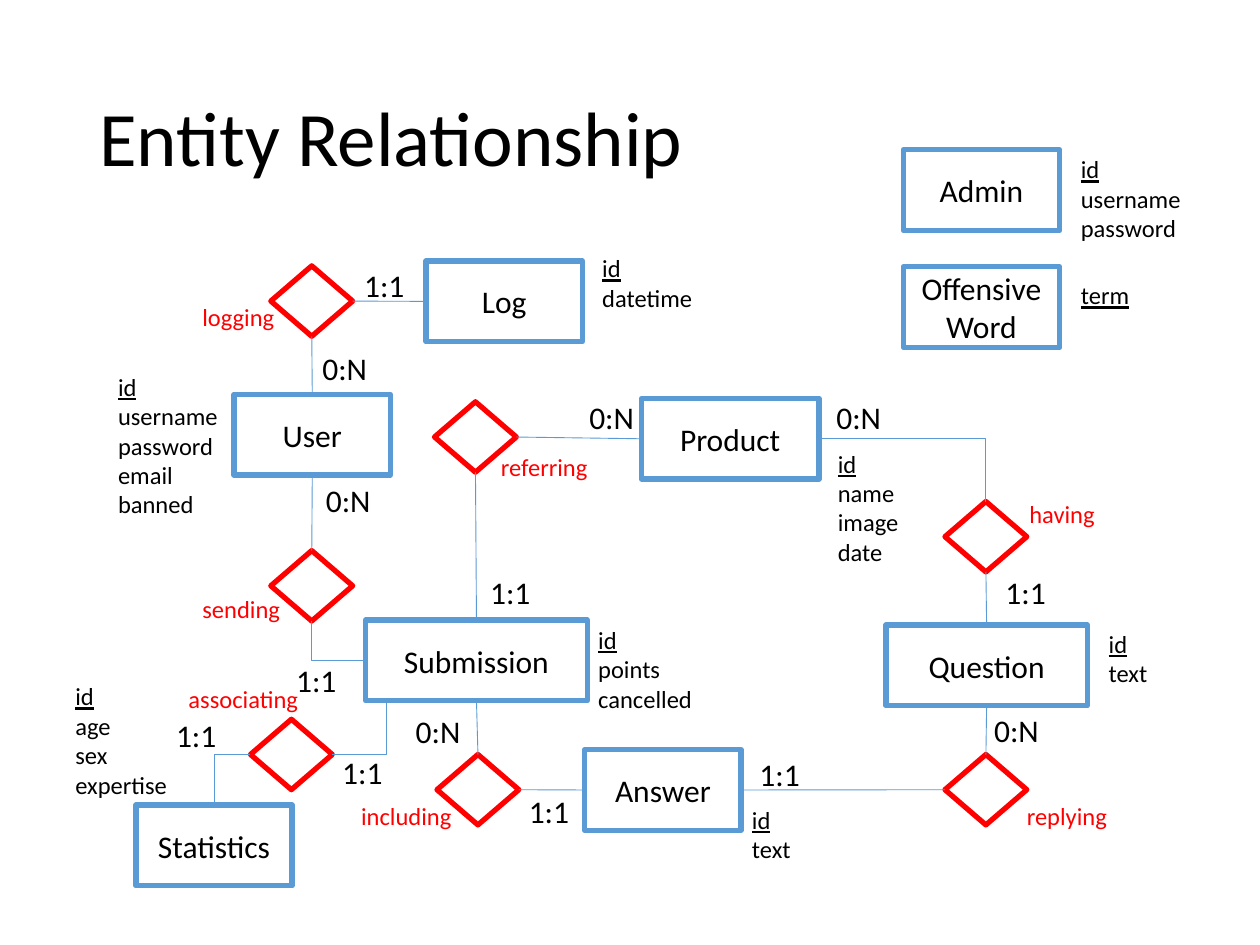
from dataclasses import dataclass

from pptx import Presentation
from pptx.dml.color import RGBColor as RGB
from pptx.enum.shapes import MSO_CONNECTOR as Conn, MSO_SHAPE as Shape
from pptx.enum.text import MSO_ANCHOR as Anchor, PP_ALIGN as Align
from pptx.oxml.ns import qn
from pptx.util import Cm, Pt

TOP, LEFT, BOTTOM, RIGHT = range(4)  # connection sites of boxes and diamonds


@dataclass(frozen=True)
class Theme:
    font: str = "Calibri"
    text: RGB = RGB(0, 0, 0)
    paper: RGB = RGB(255, 255, 255)
    entity: RGB = RGB(0x5B, 0x9B, 0xD5)
    relation: RGB = RGB(255, 0, 0)
    title: Pt = Pt(44)
    body: Pt = Pt(18)
    small: Pt = Pt(14)
    outline: Pt = Pt(3)
    link: Pt = Pt(0.5)


T = Theme()

# name: (left, top, width), attributes, attribute offset from the box
ENTITIES = {
    "Log": ((8.59, 5.26, 3.15), "id datetime", (3.3, -0.28)),
    "User": ((4.72, 7.95, 3.15), "id username password email banned", (-2.59, -0.58)),
    "Product": ((12.93, 8.03, 3.58), "id name image date", (3.71, 0.89)),
    "Submission": ((7.37, 12.5, 4.47), "id points cancelled", (4.44, -0.03)),
    "Admin": ((18.21, 3.02, 3.15), "id username password", (3.33, -0.03)),
    "Offensive\vWord": ((18.21, 5.38, 3.15), "term", (3.33, 0.15)),
    "Question": ((17.86, 12.6, 4.06), "id text", (4.24, -0.05)),
    "Answer": ((11.79, 15.11, 3.15), "id text", (3.12, 0.99)),
    "Statistics": ((2.74, 16.23, 3.15), "id age sex expertise", (-1.47, -2.62)),
}

# name: (left, top), label offset from the diamond
RELATIONS = {
    "logging": ((5.46, 5.36), (-1.63, 0.61)),
    "sending": ((5.46, 11.1), (-1.63, 0.76)),
    "including": ((8.81, 15.21), (-1.78, 0.81)),
    "referring": ((8.76, 8.1), (1.09, 0.89)),
    "replying": ((19.05, 15.21), (1.4, 0.81)),
    "having": ((19.05, 10.11), (1.45, -0.18)),
    "associating": ((5.05, 14.5), (-1.5, -0.84)),
}

# begin, site, end, site, cardinality, its position
LINKS = [
    ("Log", LEFT, "logging", RIGHT, "1:1", (7.09, 5.23)),
    ("logging", BOTTOM, "User", TOP, "0:N", (6.25, 6.91)),
    ("User", BOTTOM, "sending", TOP, "0:N", (6.32, 9.58)),
    ("Submission", LEFT, "sending", BOTTOM, "1:1", (5.72, 13.21)),
    ("referring", RIGHT, "Product", LEFT, "0:N", (11.63, 7.9)),
    ("Submission", TOP, "referring", BOTTOM, "1:1", (9.63, 11.43)),
    ("Product", RIGHT, "having", TOP, "0:N", (16.61, 7.9)),
    ("Question", TOP, "having", BOTTOM, "1:1", (20.02, 11.43)),
    ("Question", BOTTOM, "replying", TOP, "0:N", (19.79, 14.2)),
    ("Answer", RIGHT, "replying", LEFT, "1:1", (15.06, 15.09)),
    ("including", RIGHT, "Answer", LEFT, "1:1", (10.41, 15.85)),
    ("Submission", BOTTOM, "including", TOP, "0:N", (8.13, 14.22)),
    ("associating", LEFT, "Statistics", TOP, "1:1", (3.3, 14.3)),
]


def style(p, size, color=T.text):
    p.font.name, p.font.size, p.font.color.rgb = T.font, size, color


def text(s, box, lines, size, color=T.text):
    tf = s.shapes.add_textbox(*map(Cm, box)).text_frame
    tf.word_wrap = True
    for i, line in enumerate(lines):
        p = tf.paragraphs[0] if i == 0 else tf.add_paragraph()
        p.text = line
        style(p, size, color)
    return tf


def outlined(s, kind, box, color):
    sp = s.shapes.add_shape(kind, *map(Cm, box))
    sp.shadow.inherit = False
    sp.fill.solid()
    sp.fill.fore_color.rgb = T.paper
    sp.line.color.rgb, sp.line.width = color, T.outline
    return sp


def entity(s, name, box, attributes, offset):
    """Box with its attribute list, whose first line is the underlined key."""
    x, y, w = box
    sp = outlined(s, Shape.RECTANGLE, (x, y, w, 1.63), T.entity)
    tf = sp.text_frame
    tf.text, tf.word_wrap, tf.vertical_anchor = name, True, Anchor.MIDDLE
    p = tf.paragraphs[0]
    p.alignment = Align.CENTER
    style(p, T.body)
    lines = attributes.split()
    area = (x + offset[0], y + offset[1], 2.8, 0.25 + 0.6 * len(lines))
    text(s, area, lines, T.small).paragraphs[0].runs[0].font.underline = True
    return sp


def relation(s, name, at, offset):
    x, y = at
    sp = outlined(s, Shape.DIAMOND, (x, y, 1.65, 1.42), T.relation)
    text(s, (x + offset[0], y + offset[1], 2.95, 0.85), [name], T.small, T.relation)
    return sp


def connector(s, bent):
    """Thin line; a bent one runs sideways first, then up or down."""
    c = s.shapes.add_connector(Conn.ELBOW if bent else Conn.STRAIGHT, 0, 0, 0, 0)
    c.line.color.rgb, c.line.width = T.entity, T.link
    props = c.element.spPr
    props.append(props.makeelement(qn("a:effectLst"), {}))
    if bent:
        props.find(qn("a:prstGeom")).set("prst", "bentConnector2")
    return c


def cardinality(s, label, at):
    text(s, (*at, 1.6, 1.02), [label], T.body)


def link(s, nodes, begin, site, end, end_site, label, at):
    c = connector(s, bent=site % 2 != end_site % 2)
    c.begin_connect(nodes[begin], site)
    c.end_connect(nodes[end], end_site)
    cardinality(s, label, at)


def side_link(s, node, end, label, at):
    """Bent link from a node's right side to a free point on a box edge."""
    c = connector(s, bent=True)
    c.begin_connect(node, RIGHT)
    c.end_x, c.end_y = map(Cm, end)
    cardinality(s, label, at)


def title(s, box, words):
    tf = text(s, box, [words], T.title)
    tf.vertical_anchor = Anchor.MIDDLE
    tf.paragraphs[0].line_spacing = 0.9


def diagram_slide(prs):
    s = prs.slides.add_slide(prs.slide_layouts[6])
    title(s, (1.75, 1.02, 21.9, 3.68), "Entity Relationship")
    nodes = {name: entity(s, name, *parts) for name, parts in ENTITIES.items()}
    nodes |= {name: relation(s, name, *parts) for name, parts in RELATIONS.items()}
    for parts in LINKS:
        link(s, nodes, *parts)
    side_link(s, nodes["associating"], (7.8, 14.1), "1:1", (6.65, 15.06))


def main():
    prs = Presentation()
    prs.slide_width, prs.slide_height = Cm(25.4), Cm(19.05)
    diagram_slide(prs)
    prs.save("out.pptx")


if __name__ == "__main__":
    main()
